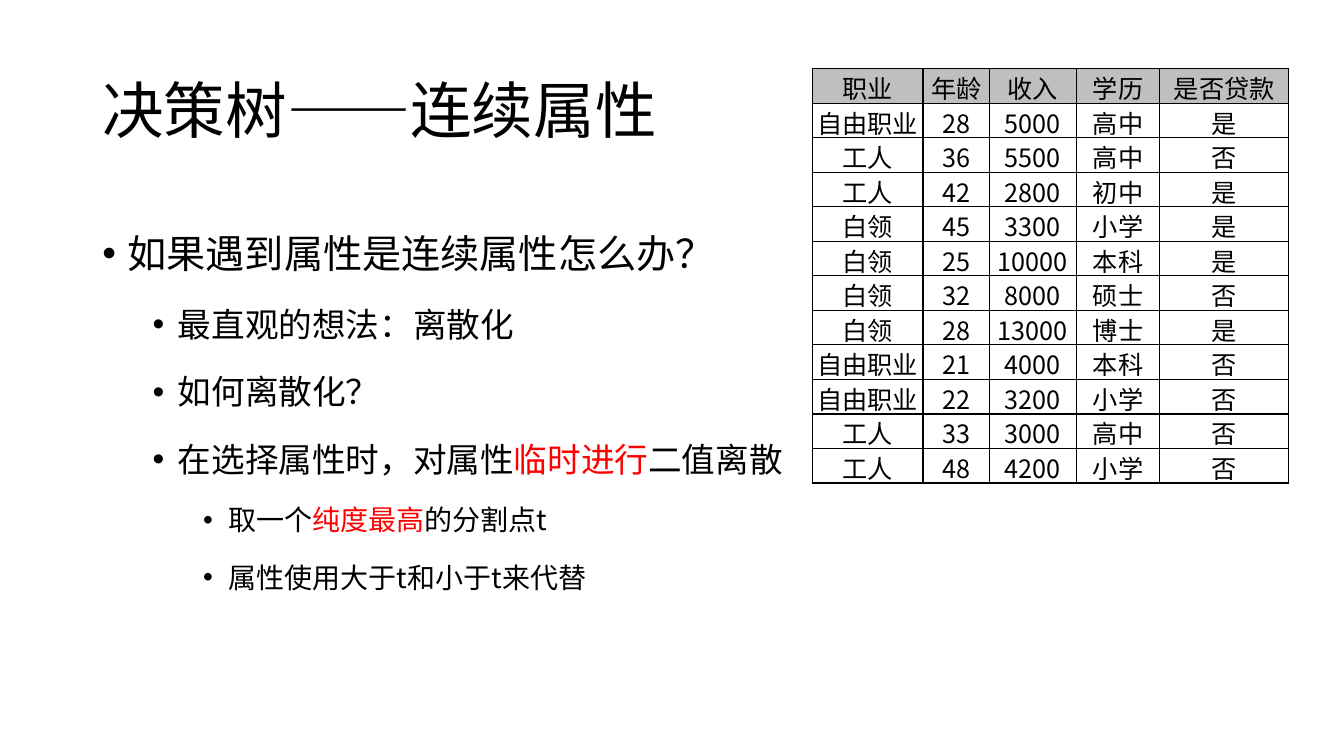
import pptx
import pptx.dml.color
import pptx.enum.text
import pptx.oxml
import pptx.oxml.ns
import pptx.util

Cm, Pt = pptx.util.Cm, pptx.util.Pt

TITLE = "决策树——连续属性"
# Level and text; parts between bars are highlighted
POINTS = [
    (0, "如果遇到属性是连续属性怎么办？"),
    (1, "最直观的想法：离散化"),
    (1, "如何离散化？"),
    (1, "在选择属性时，对属性|临时进行|二值离散"),
    (2, "取一个|纯度最高|的分割点t"),
    (2, "属性使用大于t和小于t来代替"),
]
LOANS = [
    ("职业", "年龄", "收入", "学历", "是否贷款"),
    ("自由职业", "28", "5000", "高中", "是"),
    ("工人", "36", "5500", "高中", "否"),
    ("工人", "42", "2800", "初中", "是"),
    ("白领", "45", "3300", "小学", "是"),
    ("白领", "25", "10000", "本科", "是"),
    ("白领", "32", "8000", "硕士", "否"),
    ("白领", "28", "13000", "博士", "是"),
    ("自由职业", "21", "4000", "本科", "否"),
    ("自由职业", "22", "3200", "小学", "否"),
    ("工人", "33", "3000", "高中", "否"),
    ("工人", "48", "4200", "小学", "否"),
]
WIDTHS = [2.79, 1.68, 2.18, 2.11, 3.25]
ROW = 0.87
STEP = 1.27
SIZES = [28, 24, 20]
FONT = "Noto Sans CJK SC"
COLORS = {"text": "000000", "mark": "FF0000", "head": "BFBFBF", "cell": "FFFFFF"}


def color(name):
    return pptx.dml.color.RGBColor.from_string(COLORS[name])


def element(xml):
    return pptx.oxml.parse_xml(xml.replace(" ", f" {pptx.oxml.ns.nsdecls('a')} ", 1))


def style(run, size, shade="text"):
    """Set the font for Latin and East Asian letters alike."""
    run.font.size = Pt(size)
    run.font.name = FONT
    run.font.color.rgb = color(shade)
    run.font._element.append(element(f'<a:ea typeface="{FONT}"/>'))


def add_box(slide, top, height):
    box = slide.shapes.add_textbox(Cm(2.33), Cm(top), Cm(29.21), Cm(height))
    box.text_frame.word_wrap = True
    return box.text_frame


def add_title(slide):
    frame = add_box(slide, 1.01, 3.68)
    frame.vertical_anchor = pptx.enum.text.MSO_ANCHOR.MIDDLE
    frame.text = TITLE
    frame.paragraphs[0].line_spacing = 0.9
    style(frame.paragraphs[0].runs[0], 44)


def add_points(slide):
    frame = add_box(slide, 5.07, 12.09)
    for i, (level, text) in enumerate(POINTS):
        para = frame.add_paragraph() if i else frame.paragraphs[0]
        para.level = level
        para.line_spacing = 1.5
        para.space_before = Pt(5 if level else 10)
        for j, part in enumerate(text.split("|")):
            run = para.add_run()
            run.text = part
            style(run, SIZES[level], "mark" if j % 2 else "text")
        props = para._p.get_or_add_pPr()
        props.set("marL", str(Cm(STEP * (level + 0.5))))
        props.set("indent", str(-Cm(STEP / 2)))
        props.append(element('<a:buFont typeface="Arial"/>'))
        props.append(element('<a:buChar char="•"/>'))


def fill_cell(cell, text, shade):
    cell.text = text
    cell.margin_left = cell.margin_right = Cm(0.02)
    cell.margin_top = cell.margin_bottom = Cm(0.02)
    para = cell.text_frame.paragraphs[0]
    para.alignment = pptx.enum.text.PP_ALIGN.CENTER
    style(para.runs[0], 18)
    for side in "LRTB":
        cell._tc.get_or_add_tcPr().append(element(
            f'<a:ln{side} w="{Pt(1)}"><a:solidFill><a:srgbClr val="{COLORS["text"]}"/>'
            f'</a:solidFill></a:ln{side}>'))
    cell.fill.solid()
    cell.fill.fore_color.rgb = color(shade)


def add_loans(slide):
    table = slide.shapes.add_table(
        len(LOANS), len(WIDTHS), Cm(20.47), Cm(1.73),
        Cm(sum(WIDTHS)), Cm(ROW * len(LOANS))).table
    for col, width in zip(table.columns, WIDTHS):
        col.width = Cm(width)
    for r, record in enumerate(LOANS):
        table.rows[r].height = Cm(ROW)
        for c, text in enumerate(record):
            fill_cell(table.cell(r, c), text, "cell" if r else "head")


def main():
    deck = pptx.Presentation()
    deck.slide_width, deck.slide_height = Cm(33.87), Cm(19.05)
    slide = deck.slides.add_slide(deck.slide_layouts[6])
    add_title(slide)
    add_points(slide)
    add_loans(slide)
    deck.save("out.pptx")


if __name__ == "__main__":
    main()
